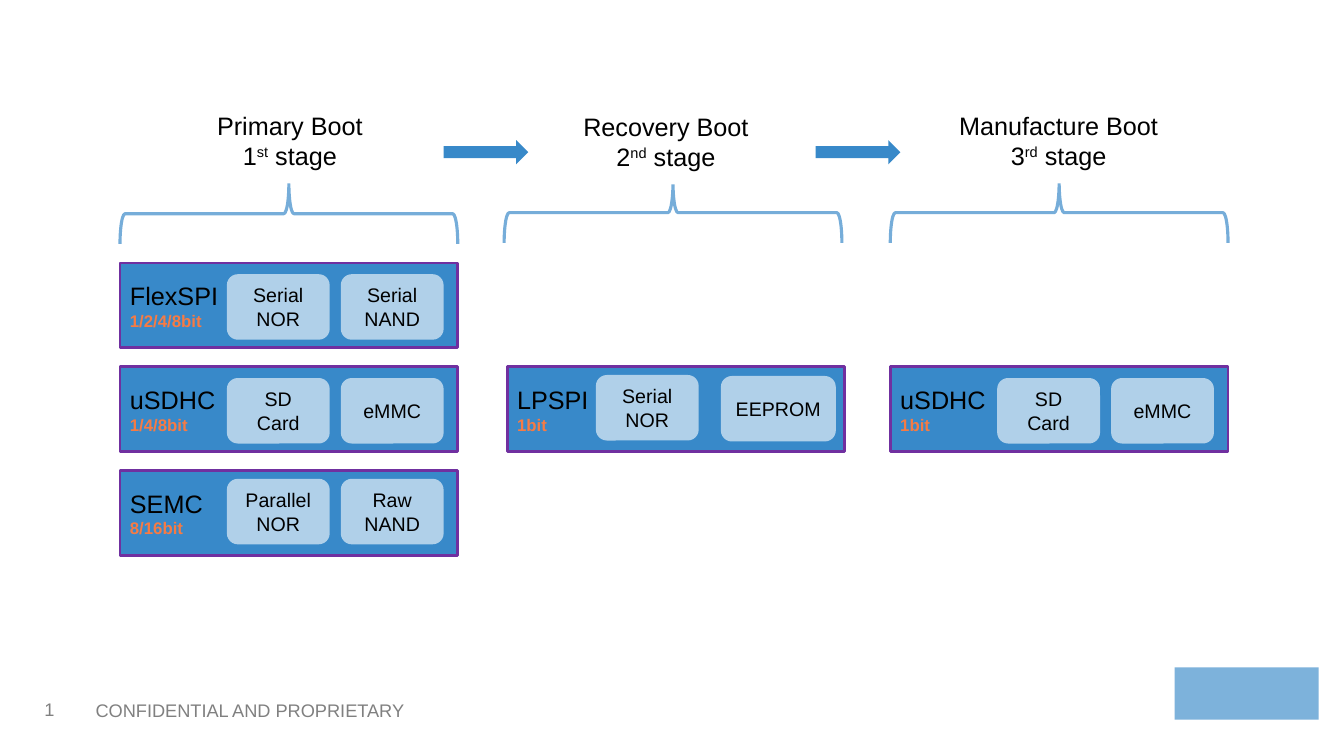
from pptx import Presentation
from pptx.dml.color import RGBColor as RGB
from pptx.enum.shapes import MSO_SHAPE as Shape
from pptx.enum.text import MSO_ANCHOR as Anchor, PP_ALIGN as Align
from pptx.util import Inches as In, Pt

HEX = dict(blue="3889C9", pale="B0D0E9", edge="7030A0", brace="76ADD9", bits="F67B44",
           black="000000", white="FFFFFF", gray="808080", mark="7DB2DB")

STAGES = [
    ("Primary Boot", "1", "st", 1.82, 0.96, 2.11),
    ("Recovery Boot", "2", "nd", 5.55, 0.97, 2.11),
    ("Manufacture Boot", "3", "rd", 9.36, 0.96, 2.28),
]
BRACES = [(1.19, 1.82), (5, 1.81), (8.83, 1.81)]
ARROWS = [4.4, 8.09]

PAIR = [(1.06, 0.11, 1.02), (2.19, 0.11, 1.02)]
HIGH = [(1.06, 0.08, 1.02), (2.19, 0.08, 1.02)]
WIDE = [(0.88, 0.08, 1.02), (2.12, 0.09, 1.14)]
PORTS = [
    (1.19, 0, "FlexSPI", "1/2/4/8bit", ["Serial\nNOR", "Serial\nNAND"], PAIR),
    (1.19, 1, "uSDHC", "1/4/8bit", ["SD\nCard", "eMMC"], PAIR),
    (1.19, 2, "SEMC", "8/16bit", ["Parallel\nNOR", "Raw\nNAND"], HIGH),
    (5.03, 1, "LPSPI", "1bit", ["Serial\nNOR", "EEPROM"], WIDE),
    (8.83, 1, "uSDHC", "1bit", ["SD\nCard", "eMMC"], PAIR),
]
FOOTER = [
    ("CONFIDENTIAL AND PROPRIETARY", 0.85, 3.98, 0.34, 0.1, Anchor.TOP),
    ("1", 0.37, 0.65, 0.3, 0.07, Anchor.MIDDLE),
]
TOP, PITCH, WIDTH, HEIGHT = 2.61, 1.03, 3.35, 0.84

deck = Presentation()
deck.slide_width, deck.slide_height = In(13.33), In(7.5)
slide = deck.slides.add_slide(deck.slide_layouts[6])


def tint(name):
    return RGB.from_string(HEX[name])


def draw(kind, x, y, w, h, fill=None, line=None, weight=2):
    item = slide.shapes.add_shape(kind, In(x), In(y), In(w), In(h))
    item.shadow.inherit = False
    if fill:
        item.fill.solid()
        item.fill.fore_color.rgb = tint(fill)
    else:
        item.fill.background()
    if line:
        item.line.color.rgb = tint(line)
        item.line.width = Pt(weight)
    else:
        item.line.fill.background()
    return item


def style(para, size, color="black", align=Align.CENTER, bold=False):
    para.alignment = align
    font = para.font
    font.name, font.size, font.bold = "Arial", Pt(size), bold
    font.color.rgb = tint(color)


def write(item, text, size):
    frame = item.text_frame
    frame.word_wrap = True
    frame.vertical_anchor = Anchor.MIDDLE
    frame.text = text
    for para in frame.paragraphs:
        style(para, size)
    return frame


for text, x, w, h, inset, anchor in FOOTER:
    frame = slide.shapes.add_textbox(In(x), In(6.89), In(w), In(h)).text_frame
    frame.word_wrap = True
    frame.margin_left = frame.margin_right = In(inset)
    frame.vertical_anchor = anchor
    frame.text = text
    style(frame.paragraphs[0], 13, "gray", Align.LEFT)

draw(Shape.RECTANGLE, 11.65, 6.62, 1.43, 0.52, "mark")

for x, row, name, bits, parts, spots in PORTS:
    y = TOP + row * PITCH
    frame = write(draw(Shape.RECTANGLE, x, y, WIDTH, HEIGHT, "blue", "edge"),
                  f"{name}\n{bits}", 18)
    style(frame.paragraphs[0], 18, align=Align.LEFT)
    style(frame.paragraphs[1], 12, "bits", Align.LEFT, True)
    for part, (dx, dy, w) in zip(parts, spots):
        tile = draw(Shape.ROUNDED_RECTANGLE, x + dx, y + dy, w, 0.65, "pale")
        write(tile, part, 14)

for x, y in BRACES:
    deep = 0.6
    brace = draw(Shape.RIGHT_BRACE, x + (WIDTH - deep) / 2, y - (WIDTH - deep) / 2,
                 deep, WIDTH, line="brace", weight=2.25)
    brace.rotation = 270

for title, digit, suffix, x, y, w in STAGES:
    frame = write(draw(Shape.RECTANGLE, x, y, w, 0.86, "white"), title, 18)
    para = frame.add_paragraph()
    style(para, 18)
    for text in (digit, suffix, " stage"):
        run = para.add_run()
        run.text = text
        if text == suffix:
            run._r.get_or_add_rPr().set("baseline", "30000")

for x in ARROWS:
    draw(Shape.RIGHT_ARROW, x, 1.39, 0.84, 0.24, "blue")

deck.save("out.pptx")
